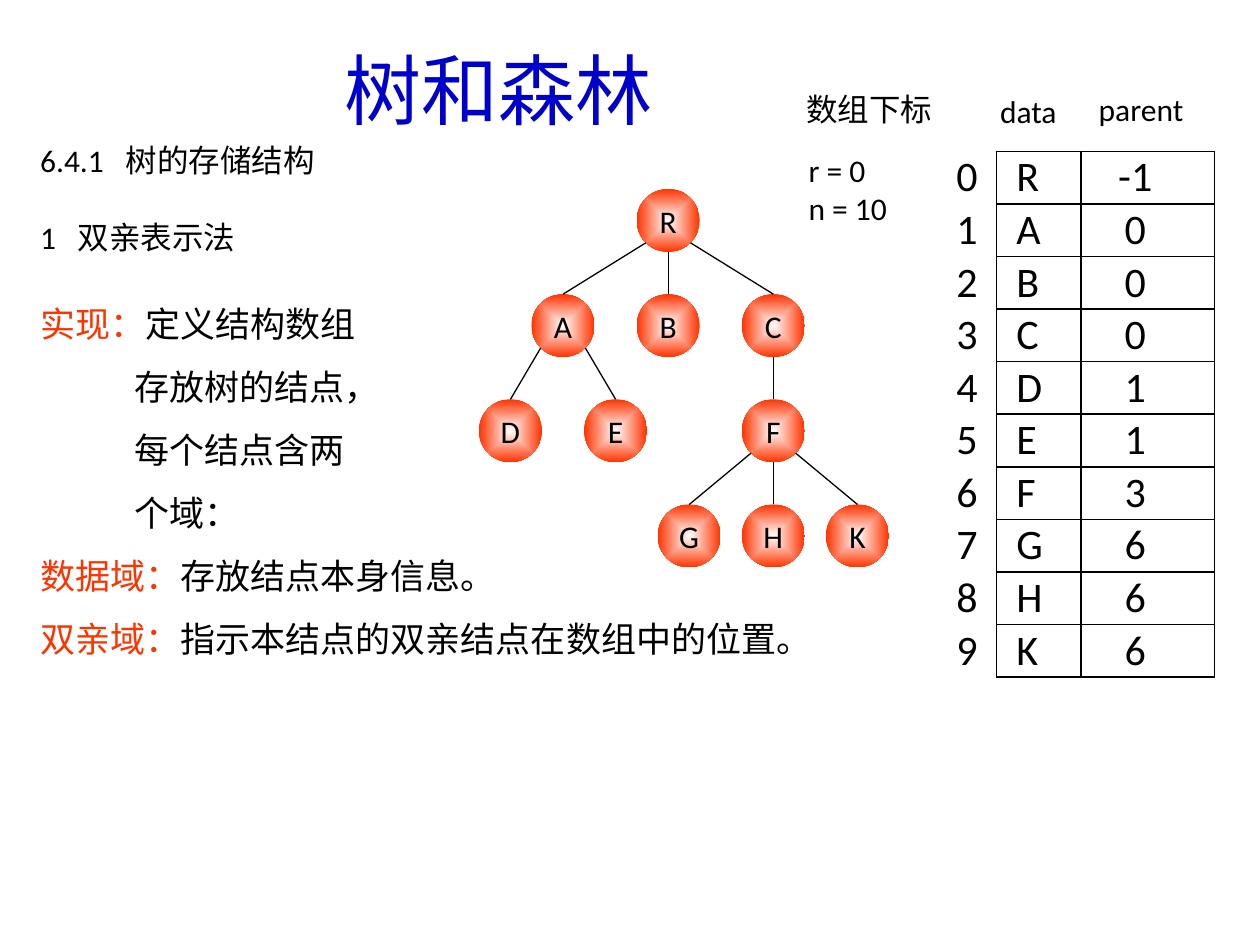
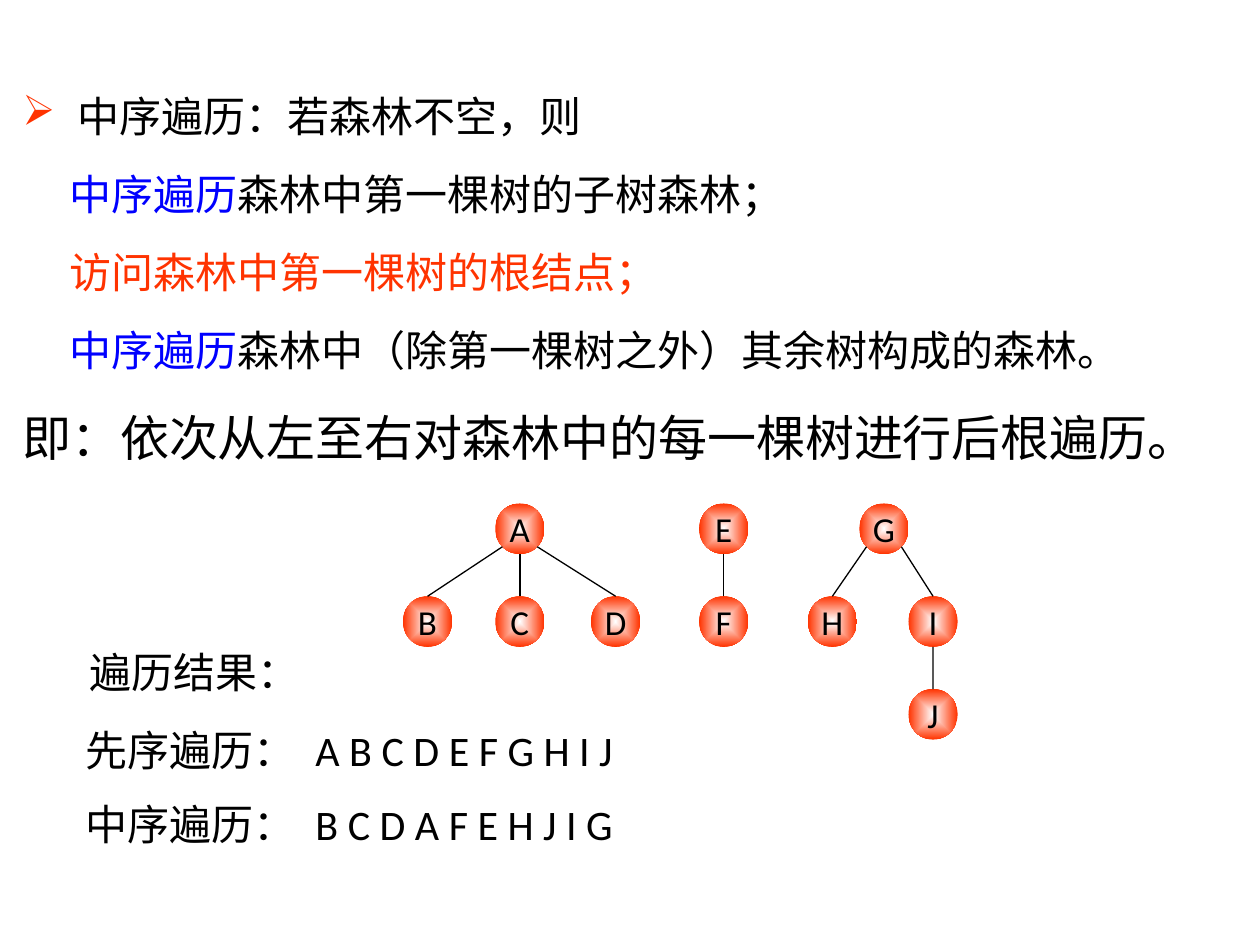
from pptx import Presentation
from pptx.dml.color import RGBColor
from pptx.enum.shapes import MSO_CONNECTOR, MSO_SHAPE
from pptx.enum.text import MSO_ANCHOR, PP_ALIGN
from pptx.oxml import parse_xml
from pptx.oxml.ns import nsdecls
from pptx.util import Cm, Pt
from lxml.etree import SubElement
from pptx.oxml.ns import qn

BLACK = RGBColor(0, 0, 0)
WHITE = RGBColor(0xFF, 0xFF, 0xFF)
ORANGE = RGBColor(0xFF, 0x33, 0x00)
BLUE = RGBColor(0, 0, 0xFF)
TITLE_BLUE = RGBColor(0, 0, 0xCC)
LATIN, HAN = "Calibri", "Noto Sans CJK SC"


def add_text(slide, left, top, width, height, lines, size, font=LATIN,
             spacing=None, tab=None):
    """Each line is (indent in cm, [(text, colour), ...])."""
    box = slide.shapes.add_textbox(Cm(left), Cm(top), Cm(width), Cm(height))
    frame = box.text_frame
    frame.word_wrap = True
    for number, (indent, pieces) in enumerate(lines):
        paragraph = frame.paragraphs[0] if number == 0 else frame.add_paragraph()
        if spacing:
            paragraph.line_spacing = spacing
        properties = paragraph._p.get_or_add_pPr()
        properties.set("marL", str(Cm(indent)))
        if tab:
            stops = SubElement(properties, qn("a:tabLst"))
            SubElement(stops, qn("a:tab"), pos=str(Cm(tab)), algn="l")
        for words, colour in pieces:
            run = paragraph.add_run()
            run.text = words
            run.font.size = Pt(size)
            run.font.name = font
            run.font.color.rgb = colour
            SubElement(run._r.get_or_add_rPr(), qn("a:ea"), typeface=HAN)
    return frame


def draw_trees(slide, nodes, top, step, width, height, size):
    """Each node is letter: (centre x in cm, level, parent letter)."""
    circles = {}
    for letter, (center, level, _) in nodes.items():
        circle = slide.shapes.add_shape(
            MSO_SHAPE.OVAL, Cm(center - width / 2), Cm(top + level * step),
            Cm(width), Cm(height))
        circle.shadow.inherit = False
        circle.line.fill.background()
        circle.fill.gradient()
        gradient = circle._element.spPr.find(qn("a:gradFill"))
        gradient.getparent().replace(gradient, parse_xml(
            f'<a:gradFill {nsdecls("a")} rotWithShape="1"><a:gsLst>'
            f'<a:gs pos="0"><a:srgbClr val="{WHITE}"/></a:gs>'
            f'<a:gs pos="100000"><a:srgbClr val="{ORANGE}"/></a:gs></a:gsLst>'
            '<a:path path="shape"><a:fillToRect l="50000" t="50000" '
            'r="50000" b="50000"/></a:path></a:gradFill>'))
        frame = circle.text_frame
        frame.word_wrap = False
        frame.vertical_anchor = MSO_ANCHOR.MIDDLE
        frame.text = letter
        frame.paragraphs[0].alignment = PP_ALIGN.CENTER
        font = frame.paragraphs[0].runs[0].font
        font.size, font.name = Pt(size), LATIN
        font.color.rgb = BLACK
        circles[letter] = circle

    # Branches leave the parent straight down or at 45 degrees
    for letter, (center, level, parent) in nodes.items():
        if not parent:
            continue
        parent_center = nodes[parent][0]
        side = (center > parent_center) - (center < parent_center)
        reach = 0.71 if side else 1
        start_x = parent_center + side * reach * width / 2
        start_y = top + (level - 1) * step + height / 2 * (1 + reach)
        branch = slide.shapes.add_connector(
            MSO_CONNECTOR.STRAIGHT, Cm(start_x), Cm(start_y),
            Cm(center), Cm(top + level * step))
        branch.end_connect(circles[letter], 0)
        branch.line.color.rgb = BLACK
        branch.line.width = Pt(0.75)
        SubElement(branch._element.spPr, qn("a:effectLst"))


deck = Presentation()
deck.slide_width, deck.slide_height = Cm(25.4), Cm(19.05)
storage, traversal = [deck.slides.add_slide(deck.slide_layouts[6]) for _ in range(2)]
for slide in (storage, traversal):
    slide.background.fill.solid()
    slide.background.fill.fore_color.rgb = WHITE

# Slide 1: title, headings and explanation
add_text(storage, 6.7, 0.74, 7.6, 2.13, [(0, [("树和森林", TITLE_BLUE)])], 44, HAN)
add_text(storage, 0.56, 2.72, 8.69, 1.27,
         [(0, [("6.4.1\t树的存储结构", BLACK)])], 18, tab=1.73)
add_text(storage, 0.56, 4.27, 6.55, 1.27,
         [(0, [("1\t双亲表示法", BLACK)])], 18, tab=0.76)
add_text(storage, 0.56, 5.56, 16.8, 7.8, [
    (0, [("实现：", ORANGE), ("定义结构数组", BLACK)]),
    (1.9, [("存放树的结点，", BLACK)]),
    (1.9, [("每个结点含两", BLACK)]),
    (1.9, [("个域：", BLACK)]),
    (0, [("数据域：", ORANGE), ("存放结点本身信息。", BLACK)]),
    (0, [("双亲域：", ORANGE), ("指示本结点的双亲结点在数组中的位置。", BLACK)]),
], 20, spacing=1.5)

# Slide 1: tree, on a grid around the root
ROOT_X, UNIT = 13.47, 1.06
offsets = {"R": (0, 0, None), "A": (-2, 1, "R"), "B": (0, 1, "R"),
           "C": (2, 1, "R"), "D": (-3, 2, "A"), "E": (-1, 2, "A"),
           "F": (2, 2, "C"), "G": (0.4, 3, "F"), "H": (2, 3, "F"),
           "K": (3.6, 3, "F")}
tree = {letter: (ROOT_X + UNIT * offset, level, parent)
        for letter, (offset, level, parent) in offsets.items()}
draw_trees(storage, tree, 3.81, 2.12, 1.27, 1.27, 18)

# Slide 1: parent array with its labels
for left, top, width, label in [(16, 1.7, 4.11, "数组下标"),
                                (19.91, 1.73, 2.39, "data"),
                                (21.9, 1.7, 3, "parent")]:
    add_text(storage, left, top, width, 1.27, [(0, [(label, BLACK)])], 18)
add_text(storage, 16.05, 2.92, 2.95, 2.29,
         [(0, [("r = 0", BLACK)]), (0, [("n = 10", BLACK)])], 18)

letters = list(tree)
ROW = 1.06
column_widths = (1.06, 1.7, 2.69)
array = storage.shapes.add_table(
    len(letters), 3, Cm(19.03), Cm(3.05), Cm(sum(column_widths)),
    Cm(ROW * len(letters))).table
array.first_row = array.horz_banding = False
for column, width in zip(array.columns, column_widths):
    column.width = Cm(width)
for index, (letter, (_, _, parent)) in enumerate(tree.items()):
    array.rows[index].height = Cm(ROW)
    parent_index = letters.index(parent) if parent else -1
    for column, value in enumerate((index, letter, parent_index)):
        cell = array.cell(index, column)
        cell.margin_top = cell.margin_bottom = 0
        cell.margin_left = Cm((0.25, 0.4, 0)[column])
        cell.margin_right = Cm((0, 0, 0.5)[column])
        cell.vertical_anchor = MSO_ANCHOR.MIDDLE
        cell.text = str(value)
        paragraph = cell.text_frame.paragraphs[0]
        if column == 2:
            paragraph.alignment = PP_ALIGN.CENTER
        font = paragraph.runs[0].font
        font.size, font.name = Pt(24), LATIN
        font.color.rgb = BLACK
        # The index column is framed only by the array beside it
        for edge in ("lnL", "lnR", "lnT", "lnB"):
            border = SubElement(cell._tc.get_or_add_tcPr(), qn(f"a:{edge}"),
                                w=str(Pt(1)))
            if column or edge == "lnR":
                fill = SubElement(border, qn("a:solidFill"))
                SubElement(fill, qn("a:srgbClr"), val=str(BLACK))
            else:
                SubElement(border, qn("a:noFill"))
        cell.fill.background()

# Slide 2: inorder rule
rule = add_text(traversal, 0.2, 1.14, 24.5, 6.55, [
    (1.11, [("中序遍历：若森林不空，则", BLACK)]),
    (0.95, [("中序遍历", BLUE), ("森林中第一棵树的子树森林；", BLACK)]),
    (0.95, [("访问森林中第一棵树的根结点；", ORANGE)]),
    (0.95, [("中序遍历", BLUE), ("森林中（除第一棵树之外）其余树构成的森林。", BLACK)]),
], 24, spacing=1.55)
bulleted = rule.paragraphs[0]._p.get_or_add_pPr()
bulleted.set("indent", str(-Cm(1.11)))
bullet_colour = SubElement(bulleted, qn("a:buClr"))
SubElement(bullet_colour, qn("a:srgbClr"), val=str(ORANGE))
SubElement(bulleted, qn("a:buChar"), char="➢")
add_text(traversal, 0.2, 7.85, 24.77, 1.68,
         [(0, [("即：依次从左至右对森林中的每一棵树进行后根遍历。", BLACK)])],
         28, spacing=1.2)

# Slide 2: results
add_text(traversal, 1.55, 12.9, 5.05, 1.27,
         [(0, [("遍历结果：", BLACK)])], 24, HAN)
for top, result in [(14.48, "先序遍历：\tA B C D E F G H I J"),
                    (15.98, "中序遍历：\tB C D A F E H J I G")]:
    add_text(traversal, 1.47, top, 13.13, 1.27,
             [(0, [(result, BLACK)])], 24, tab=4.64)

# Slide 2: forest
forest = {"A": (10.48, 0, None), "B": (8.62, 1, "A"), "C": (10.48, 1, "A"),
          "D": (12.41, 1, "A"), "E": (14.59, 0, None), "F": (14.59, 1, "E"),
          "G": (17.82, 0, None), "H": (16.78, 1, "G"), "I": (18.81, 1, "G"),
          "J": (18.81, 2, "I")}
draw_trees(traversal, forest, 10.15, 1.87, 0.99, 1.02, 20)

deck.save("out.pptx")
